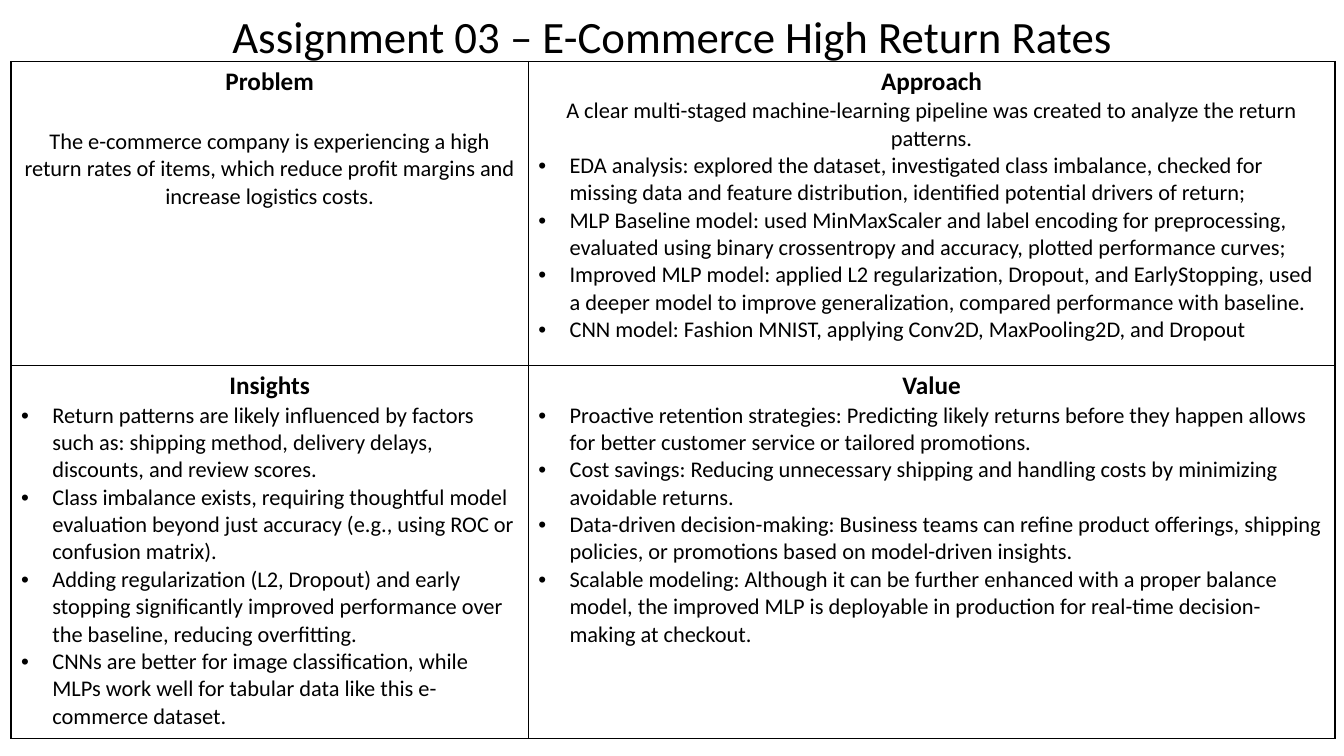
from lxml.etree import SubElement
from pptx import Presentation
from pptx.dml.color import RGBColor
from pptx.enum.text import MSO_ANCHOR as Anchor, MSO_AUTO_SIZE as AutoSize, PP_ALIGN as Align
from pptx.oxml.ns import qn
from pptx.util import Inches, Pt

TITLE = "Assignment 03 – E-Commerce High Return Rates"
QUADRANTS = [
    [
        {
            "heading": "Problem",
            "intro": "The e-commerce company is experiencing a high return rates of items, which reduce profit margins and increase logistics costs.",
            "gap": 22,
            "bullets": [],
        },
        {
            "heading": "Approach",
            "intro": "A clear multi-staged machine-learning pipeline was created to analyze the return patterns.",
            "gap": 0,
            "bullets": [
                "EDA analysis: explored the dataset, investigated class imbalance, checked for missing data and feature distribution, identified potential drivers of return;",
                "MLP Baseline model: used MinMaxScaler and label encoding for preprocessing, evaluated using binary crossentropy and accuracy, plotted performance curves;",
                "Improved MLP model: applied L2 regularization, Dropout, and EarlyStopping, used a deeper model to improve generalization, compared performance with baseline.",
                "CNN model: Fashion MNIST, applying Conv2D, MaxPooling2D, and Dropout",
            ],
        },
    ],
    [
        {
            "heading": "Insights",
            "bullets": [
                "Return patterns are likely influenced by factors such as: shipping method, delivery delays, discounts, and review scores.",
                "Class imbalance exists, requiring thoughtful model evaluation beyond just accuracy (e.g., using ROC or confusion matrix).",
                "Adding regularization (L2, Dropout) and early stopping significantly improved performance over the baseline, reducing overfitting.",
                "CNNs are better for image classification, while MLPs work well for tabular data like this e-commerce dataset.",
            ],
        },
        {
            "heading": "Value",
            "bullets": [
                "Proactive retention strategies: Predicting likely returns before they happen allows for better customer service or tailored promotions.",
                "Cost savings: Reducing unnecessary shipping and handling costs by minimizing avoidable returns.",
                "Data-driven decision-making: Business teams can refine product offerings, shipping policies, or promotions based on model-driven insights.",
                "Scalable modeling: Although it can be further enhanced with a proper balance model, the improved MLP is deployable in production for real-time decision-making at checkout.",
            ],
        },
    ],
]
COLUMN_WIDTHS = [5.13, 8]
ROW_HEIGHTS = [3.02, 3.7]
INDENT = Inches(0.31)
BLACK = RGBColor(0, 0, 0)
HEADING = {"size": Pt(18), "bold": True}
BODY = {"size": Pt(16), "bold": False}


def write(para, text, look, align):
    para.alignment = align
    span = para.add_run()
    span.text = text
    for name, value in {"name": "Calibri", **look}.items():
        setattr(span.font, name, value)
    span.font.color.rgb = BLACK


def add_bullet(para):
    props = para._p.get_or_add_pPr()
    props.set("marL", str(INDENT))
    props.set("indent", str(-INDENT))
    SubElement(props, qn("a:buFont"), typeface="Arial")
    SubElement(props, qn("a:buChar"), char="•")


def add_borders(cell):
    props = cell._tc.get_or_add_tcPr()
    for side in ("lnL", "lnR", "lnT", "lnB"):
        line = SubElement(props, qn(f"a:{side}"), w=str(Pt(1)))
        fill = SubElement(line, qn("a:solidFill"))
        SubElement(fill, qn("a:srgbClr"), val=str(BLACK))


def fill_quadrant(cell, quadrant):
    add_borders(cell)
    cell.fill.background()
    frame = cell.text_frame
    write(frame.paragraphs[0], quadrant["heading"], HEADING, Align.CENTER)
    if "intro" in quadrant:
        para = frame.add_paragraph()
        para.space_before = Pt(quadrant["gap"])
        write(para, quadrant["intro"], BODY, Align.CENTER)
    for text in quadrant["bullets"]:
        para = frame.add_paragraph()
        write(para, text, BODY, Align.LEFT)
        add_bullet(para)


def main():
    deck = Presentation()
    deck.slide_width, deck.slide_height = Inches(13.33), Inches(7.5)
    page = deck.slides.add_slide(deck.slide_layouts[6])

    title = page.shapes.add_textbox(Inches(0.92), Inches(0.17), Inches(11.5), Inches(0.43))
    frame = title.text_frame
    for name, value in {"word_wrap": True, "auto_size": AutoSize.NONE, "vertical_anchor": Anchor.MIDDLE}.items():
        setattr(frame, name, value)
    frame.paragraphs[0].line_spacing = 0.9
    write(frame.paragraphs[0], TITLE, {"size": Pt(32)}, Align.CENTER)

    table = page.shapes.add_table(
        len(ROW_HEIGHTS), len(COLUMN_WIDTHS), Inches(0.11), Inches(0.61),
        Inches(sum(COLUMN_WIDTHS)), Inches(sum(ROW_HEIGHTS)),
    ).table
    table.first_row = table.horz_banding = False
    for column, width in zip(table.columns, COLUMN_WIDTHS):
        column.width = Inches(width)
    for row, height, quadrants in zip(table.rows, ROW_HEIGHTS, QUADRANTS):
        row.height = Inches(height)
        for cell, quadrant in zip(row.cells, quadrants):
            fill_quadrant(cell, quadrant)

    deck.save("out.pptx")


if __name__ == "__main__":
    main()
